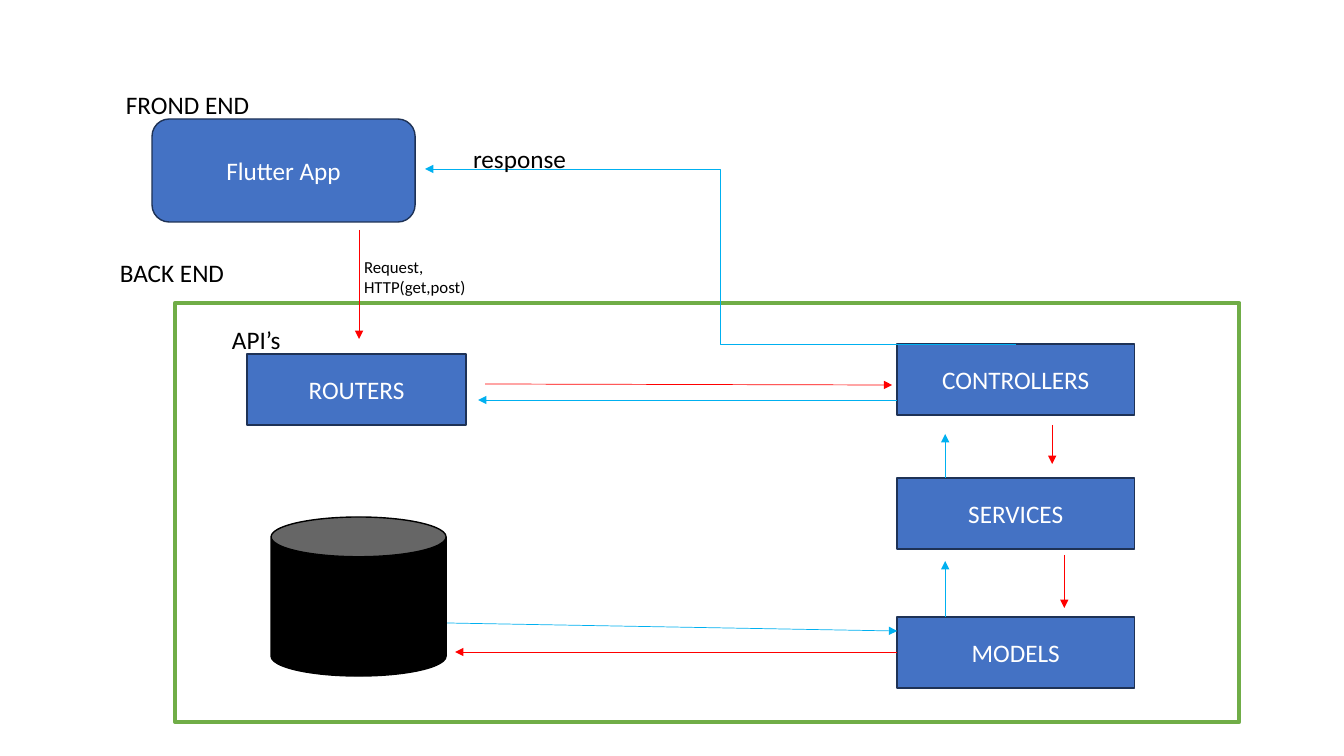
from pptx import Presentation
from pptx.dml.color import RGBColor
from pptx.enum.shapes import MSO_CONNECTOR as LINK, MSO_SHAPE as SHAPE
from pptx.enum.text import MSO_ANCHOR as ANCHOR, MSO_AUTO_SIZE as FIT, PP_ALIGN as ALIGN
from pptx.oxml.ns import qn
from pptx.util import Inches, Pt
from lxml.etree import SubElement

SCALE = 914400 / 100.8  # EMU per pixel
BLUE, NAVY, GREEN = "4472C4", "1E3256", "70AD47"
BLACK, WHITE = "000000", "FFFFFF"
REQUEST, RESPONSE = "FF0000", "00B0F0"


def px(*lengths):
    return [round(length * SCALE) for length in lengths]


def color(value):
    return RGBColor.from_string(value)


class Diagram:
    font = "Calibri"

    def __init__(self, slide):
        self.slide = slide

    def set_text(self, frame, text, size, ink, align):
        frame.text = text
        frame.word_wrap = True
        paragraph = frame.paragraphs[0]
        paragraph.alignment = align
        for run in paragraph.runs:
            run.font.name = self.font
            run.font.size = Pt(size)
            run.font.color.rgb = color(ink)

    def box(self, kind, area, text="", fill=BLUE, line=NAVY, width=1):
        shape = self.slide.shapes.add_shape(kind, *px(*area))
        shape.shadow.inherit = False
        shape.fill.solid()
        shape.fill.fore_color.rgb = color(fill)
        shape.line.color.rgb = color(line)
        shape.line.width = Pt(width)
        if text:
            shape.text_frame.vertical_anchor = ANCHOR.MIDDLE
            self.set_text(shape.text_frame, text, 18, WHITE, ALIGN.CENTER)

    def label(self, area, text, size=18):
        frame = self.slide.shapes.add_textbox(*px(*area)).text_frame
        self.set_text(frame, text, size, BLACK, ALIGN.LEFT)
        frame.auto_size = FIT.SHAPE_TO_FIT_TEXT

    def arrow(self, ends, ink, kind=LINK.STRAIGHT):
        link = self.slide.shapes.add_connector(kind, *px(*ends))
        link.line.color.rgb = color(ink)
        link.line.width = Pt(0.5)
        outline = link.element.spPr
        SubElement(outline.find(qn("a:ln")), qn("a:tailEnd"), type="triangle")
        SubElement(outline, qn("a:effectLst"))


deck = Presentation()
deck.slide_width, deck.slide_height = Inches(13.33), Inches(7.5)
diagram = Diagram(deck.slides.add_slide(deck.slide_layouts[6]))

# App and back end frame
diagram.box(SHAPE.ROUNDED_RECTANGLE, (152, 119, 263, 103), "Flutter App")
diagram.box(SHAPE.RECTANGLE, (175, 303, 1064, 419), fill=WHITE, line=GREEN, width=3)

# Back end layers and database
diagram.box(SHAPE.RECTANGLE, (247, 354, 219, 71), "ROUTERS")
for layer, top in (("CONTROLLERS", 344), ("SERVICES", 478), ("MODELS", 617)):
    diagram.box(SHAPE.RECTANGLE, (897, top, 237, 71), layer)
diagram.box(SHAPE.CAN, (271, 517, 175, 159), fill=BLACK, line=BLACK)

# Request path, from app to database
for ends in (
    (359, 230, 359, 339),
    (485, 384, 892, 385),
    (1052, 425, 1052, 464),
    (1064, 555, 1064, 608),
    (897, 652, 455, 652),
):
    diagram.arrow(ends, REQUEST)

# Response path, from database to app
for ends in (
    (447, 623, 897, 631),
    (945, 617, 945, 561),
    (945, 478, 945, 434),
    (897, 400, 478, 400),
):
    diagram.arrow(ends, RESPONSE)
diagram.arrow((1016, 344, 425, 169), RESPONSE, LINK.ELBOW)

# Labels
diagram.label((116, 84, 282, 40), "FROND END")
diagram.label((110, 252, 219, 40), "BACK END")
diagram.label((222, 319, 98, 40), "API’s")
diagram.label((354, 252, 161, 50), "Request, HTTP(get,post)", 12)
diagram.label((463, 138, 219, 40), "response")

deck.save("out.pptx")
